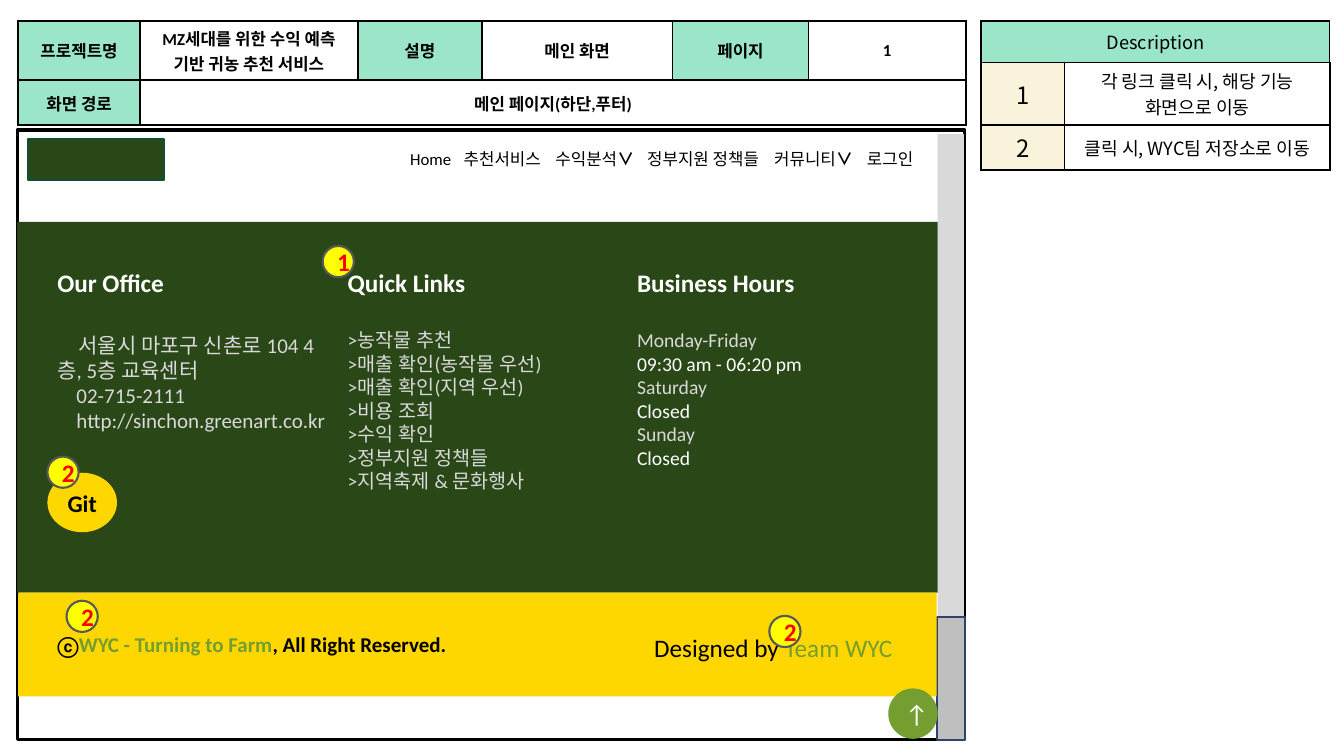
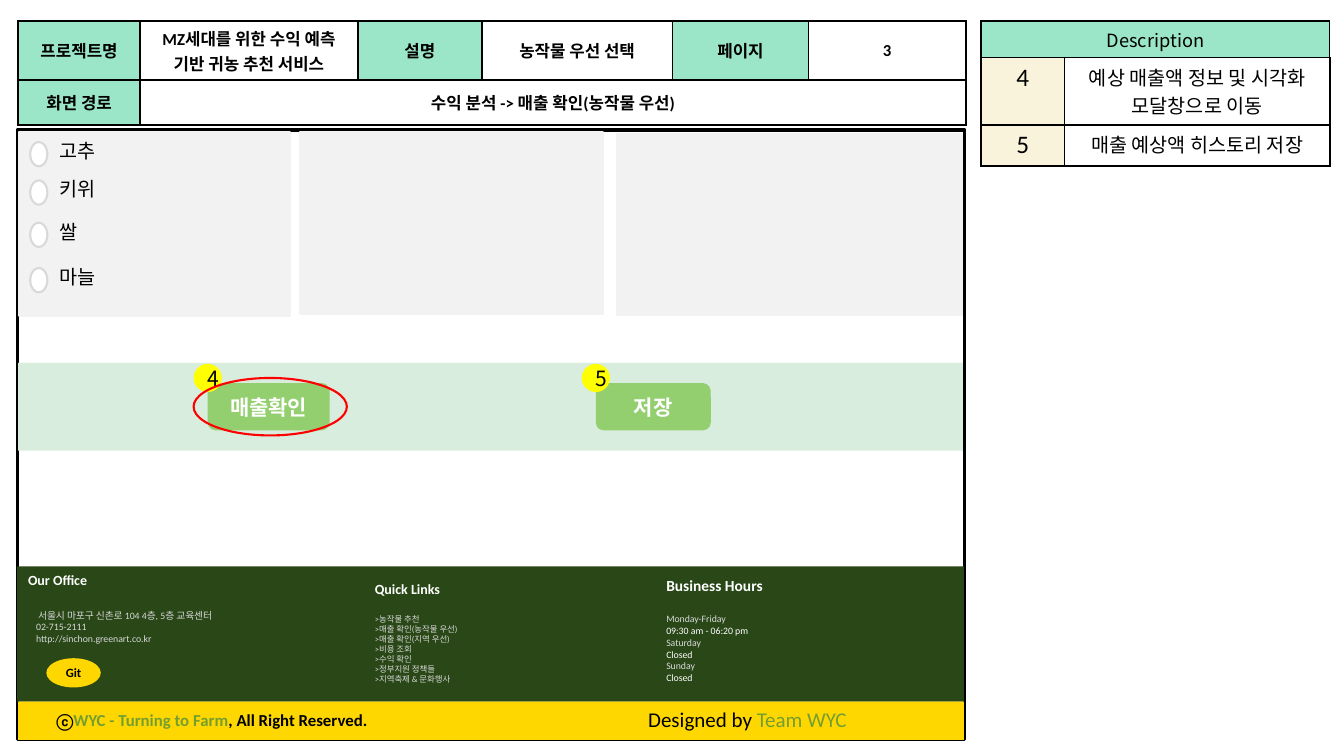
from dataclasses import dataclass

from lxml import etree
from pptx import Presentation
from pptx.dml.color import RGBColor
from pptx.enum.shapes import MSO_SHAPE
from pptx.enum.text import MSO_ANCHOR, PP_ALIGN
from pptx.oxml.ns import qn
from pptx.util import Inches, Pt

RECT, OVAL, ROUND = MSO_SHAPE.RECTANGLE, MSO_SHAPE.OVAL, MSO_SHAPE.ROUNDED_RECTANGLE
MID, TOP = MSO_ANCHOR.MIDDLE, MSO_ANCHOR.TOP
LEFT, CENTER = PP_ALIGN.LEFT, PP_ALIGN.CENTER


@dataclass(frozen=True)
class Theme:
    sans: str = "Calibri"
    noto: str = "Noto Sans CJK KR"
    black: str = "000000"
    white: str = "FFFFFF"
    mint: str = "9BE5C8"
    cream: str = "FAF3DB"
    forest: str = "294717"
    gold: str = "FFD700"
    leaf: str = "759E31"
    lime: str = "93CF6E"
    pale: str = "D9EDDE"
    panel: str = "F2F2F2"
    mist: str = "D9D9D9"
    thumb: str = "BFBFBF"
    navy: str = "30416A"
    pine: str = "144D37"
    yellow: str = "FFFF00"
    gray: str = "585858"
    red: str = "FF0000"
    head: int = 12
    desc: int = 13
    nav: int = 12
    mark: int = 18
    push: int = 15
    pick: int = 14
    thin: float = 1
    edge: float = 1.5
    frame: float = 2.25


T = Theme()

PROJECT = "MZ세대를 위한 수익 예측 기반 귀농 추천 서비스"
WIDTHS = [1.21, 2.16, 1.23, 1.89, 1.35, 1.56]

OFFICE = ["서울시 마포구 신촌로 104 4층, 5층 교육센터", "02-715-2111",
          "http://sinchon.greenart.co.kr"]
LINKS = [">농작물 추천", ">매출 확인(농작물 우선)", ">매출 확인(지역 우선)", ">비용 조회",
         ">수익 확인", ">정부지원 정책들", ">지역축제 & 문화행사"]
HOURS = ["Monday-Friday", "09:30 am - 06:20 pm", "Saturday", "Closed", "Sunday", "Closed"]
COLUMNS = [("Our Office", OFFICE), ("Quick Links", LINKS), ("Business Hours", HOURS)]

NAV = [(0, "Home", ""), (0.53, "추천서비스", ""), (1.44, "수익분석", "∨"),
       (2.35, "정부지원 정책들", ""), (3.61, "커뮤니티", "∨"), (4.53, "로그인", "")]
MARKS = [("1", 3.2, 2.44), ("2", 0.47, 4.53), ("2", 0.66, 5.96), ("2", 7.63, 6.11)]

PANELS = [(0.19, 1.31, 2.69, 1.82), (2.98, 1.31, 3, 1.81), (6.12, 1.33, 3.42, 1.8)]
CROPS = [("고추", 1.41), ("키위", 1.79), ("쌀", 2.21), ("마늘", 2.66)]
BUTTONS = [("4", "매출확인", 2.06, 1.21), ("5", "저장", 5.91, 1.14)]

MAIN = {
    "name": "메인 화면", "page": "1", "route": "메인 페이지(하단,푸터)",
    "rows": [0.41, 0.62, 0.44], "anchor": MID, "face": T.noto, "sizes": (17, 13),
    "notes": [("1", "각 링크 클릭 시, 해당 기능 화면으로 이동"),
              ("2", "클릭 시, WYC팀 저장소로 이동")],
    "green": (0.17, 2.2, 9.13, 3.68), "gold": (0.18, 5.88, 9.11, 1.03),
    "cols": [(0.47, 2.6, 2.89, 1.74, 18, 15), (3.35, 2.6, 2.86, 2.33, 18, 14),
             (6.22, 2.6, 2.83, 2.09, 18, 14)],
    "indent": (0.21, 0.19), "lift": 3,
    "git": (0.47, 4.69, 0.69, 0.59, 17),
    "rights": (0.47, 6.22, 4.13, 0.35, 15), "credit": (6.39, 6.22, 2.9, 0.4, 18),
}
CHOICE = {
    "name": "농작물 우선 선택", "page": "3", "route": "수익 분석 -> 매출 확인(농작물 우선)",
    "rows": [0.36, 0.67, 0.41], "anchor": TOP, "face": T.sans, "sizes": (18, 14),
    "notes": [("4", "예상 매출액 정보 및 시각화 모달창으로 이동"),
              ("5", "매출 예상액 히스토리 저장")],
    "green": (0.17, 5.62, 9.39, 1.34), "gold": (0.18, 6.96, 9.38, 0.38),
    "cols": [(0.18, 5.62, 2.27, 0.83, 10, 7), (3.62, 5.71, 1.43, 1.13, 10, 6),
             (6.51, 5.67, 1.58, 1.17, 11, 7)],
    "indent": (0.1, 0.08), "lift": 3,
    "git": (0.46, 6.53, 0.54, 0.29, 9),
    "rights": (0.46, 6.99, 4.25, 0.3, 12), "credit": (6.33, 6.96, 2.98, 0.35, 15),
}


def rgb(code):
    return RGBColor.from_string(code)


def write(para, text, size, color=T.black, bold=False, face=T.sans, asian=None):
    run = para.add_run()
    run.text = text
    font = run.font
    font.size, font.bold, font.name = Pt(size), bold, face
    font.color.rgb = rgb(color)
    etree.SubElement(run._r.get_or_add_rPr(), qn("a:ea")).set("typeface", asian or face)


def shape(slide, kind, area, fill=None, line=None, width=T.edge):
    item = slide.shapes.add_shape(kind, *map(Inches, area))
    item.shadow.inherit = False
    if fill:
        item.fill.solid()
        item.fill.fore_color.rgb = rgb(fill)
    else:
        item.fill.background()
    if line:
        item.line.color.rgb = rgb(line)
        item.line.width = Pt(width)
    else:
        item.line.fill.background()
    return item


def label(item, text, size, color=T.black, bold=False, face=T.sans):
    frame = item.text_frame
    frame.word_wrap = True
    frame.vertical_anchor = MID
    para = frame.paragraphs[0]
    para.alignment = CENTER
    write(para, text, size, color, bold, face)


def box(slide, area):
    frame = slide.shapes.add_textbox(*map(Inches, area)).text_frame
    frame.word_wrap = True
    frame.paragraphs[0].alignment = LEFT
    return frame


def border(cell, widths):
    props = cell._tc.get_or_add_tcPr()
    for side, width in zip("LRTB", widths):
        line = etree.SubElement(props, qn("a:ln" + side), w=str(Pt(width)))
        fill = etree.SubElement(line, qn("a:solidFill"))
        etree.SubElement(fill, qn("a:srgbClr"), val=T.black)


def table(slide, left, widths, heights):
    area = (left, 0.21, sum(widths), sum(heights))
    grid = slide.shapes.add_table(len(heights), len(widths), *map(Inches, area)).table
    grid.first_row = grid.horz_banding = False
    for col, width in zip(grid.columns, widths):
        col.width = Inches(width)
    for row, height in zip(grid.rows, heights):
        row.height = Inches(height)
    return grid


def fill(cell, text, back, size, bold=False, face=T.sans, anchor=MID):
    cell.fill.solid()
    cell.fill.fore_color.rgb = rgb(back)
    cell.vertical_anchor = anchor
    para = cell.text_frame.paragraphs[0]
    para.alignment = CENTER
    write(para, text, size, bold=bold, face=face, asian=T.noto)


def header(slide, data):
    grid = table(slide, 0.18, WIDTHS, [0.58, 0.45])
    rows = [["프로젝트명", PROJECT, "설명", data["name"], "페이지", data["page"]],
            ["화면 경로", data["route"]]]
    grid.cell(1, 1).merge(grid.cell(1, 5))
    for cell in grid.iter_cells():
        border(cell, [T.edge] * 4)
    for r, row in enumerate(rows):
        for c, text in enumerate(row):
            fill(grid.cell(r, c), text, T.white if c % 2 else T.mint, T.head, True)


def notes(slide, data):
    grid = table(slide, 9.73, [0.83, 2.63], data["rows"])
    grid.cell(0, 0).merge(grid.cell(0, 1))
    for r in range(len(data["rows"])):
        for c in range(2):
            border(grid.cell(r, c), [T.thin if c else T.edge, T.edge if c else T.thin,
                                     T.thin if r == 1 else T.edge, T.edge if r else T.thin])
    fill(grid.cell(0, 0), "Description", T.mint, T.desc, face=T.noto)
    for r, pair in enumerate(data["notes"], 1):
        for c, back in enumerate((T.cream, T.white)):
            fill(grid.cell(r, c), pair[c], back, data["sizes"][c],
                 face=data["face"], anchor=data["anchor"])


def footer(slide, data):
    shape(slide, RECT, data["green"], T.forest)
    shape(slide, RECT, data["gold"], T.gold)
    for (title, lines), (*area, big, small) in zip(COLUMNS, data["cols"]):
        frame = box(slide, area)
        write(frame.paragraphs[0], title, big, T.white, True)
        for n, text in enumerate(lines):
            para = frame.add_paragraph()
            if n == 0:
                para.space_before = Pt(round(big * 1.22) + (data["lift"] if lines is OFFICE else 0))
            if lines is OFFICE:
                para._p.get_or_add_pPr().set("indent", str(Inches(data["indent"][n > 0])))
            write(para, text, small, T.white if lines is HOURS and n % 2 else T.mist)
    *area, size = data["git"]
    label(shape(slide, OVAL, area, T.gold), "Git", size, bold=True)
    *area, size = data["rights"]
    para = box(slide, area).paragraphs[0]
    for text, color in (("ⓒ", T.black), ("WYC - Turning to Farm", T.leaf),
                        (", All Right Reserved.", T.black)):
        write(para, text, size, color, True)
    *area, size = data["credit"]
    para = box(slide, area).paragraphs[0]
    write(para, "Designed by ", size)
    write(para, "Team WYC", size, T.leaf)


def menu(slide):
    shape(slide, RECT, (0.28, 1.38, 1.35, 0.41), T.forest, T.pine)
    para = box(slide, (3.97, 1.43, 5.85, 0.29)).paragraphs[0]
    tabs = etree.SubElement(para._p.get_or_add_pPr(), qn("a:tabLst"))
    for n, (spot, text, arrow) in enumerate(NAV):
        if n:
            etree.SubElement(tabs, qn("a:tab"), pos=str(Inches(spot)), algn="l")
        write(para, "\t" + text if n else text, T.nav)
        if arrow:
            write(para, arrow, T.nav, bold=True)


def main_page(slide, data):
    shape(slide, RECT, (9.3, 1.33, 0.26, 6.01), T.mist)
    shape(slide, RECT, (9.29, 6.12, 0.28, 1.22), T.thumb, T.navy)
    footer(slide, data)
    for text, left, top in MARKS:
        mark = shape(slide, OVAL, (left, top, 0.31, 0.31), T.yellow, T.gray)
        label(mark, text, T.mark, T.red, True)
    label(shape(slide, OVAL, (8.81, 6.83, 0.49, 0.5), T.leaf), "↑", T.mark, T.white)
    menu(slide)


def choice_page(slide, data):
    shape(slide, RECT, (0.18, 3.6, 9.37, 0.87), T.pale)
    for area in PANELS:
        shape(slide, RECT, area, T.panel, T.panel)
    for text, top in CROPS:
        shape(slide, OVAL, (0.3, top, 0.17, 0.24), T.white, T.mist)
        write(box(slide, (0.49, top - 0.08, 0.63, 0.33)).paragraphs[0], text, T.pick)
    footer(slide, data)
    for mark, text, left, width in BUTTONS:
        button = shape(slide, ROUND, (left, 3.8, width, 0.47), T.lime)
        label(button, text, T.push, T.white, True, T.noto)
        dot = shape(slide, OVAL, (left - 0.14, 3.61, 0.28, 0.28), T.yellow)
        label(dot, mark, T.push, face=T.noto)
    shape(slide, OVAL, (1.92, 3.75, 1.52, 0.57), line=T.red)


def main():
    deck = Presentation()
    deck.slide_width, deck.slide_height = Inches(13.33), Inches(7.5)
    for data, draw in ((MAIN, main_page), (CHOICE, choice_page)):
        slide = deck.slides.add_slide(deck.slide_layouts[6])
        notes(slide, data)
        header(slide, data)
        shape(slide, RECT, (0.17, 1.29, 9.4, 6.05), line=T.black, width=T.frame)
        draw(slide, data)
    deck.save("out.pptx")


if __name__ == "__main__":
    main()
